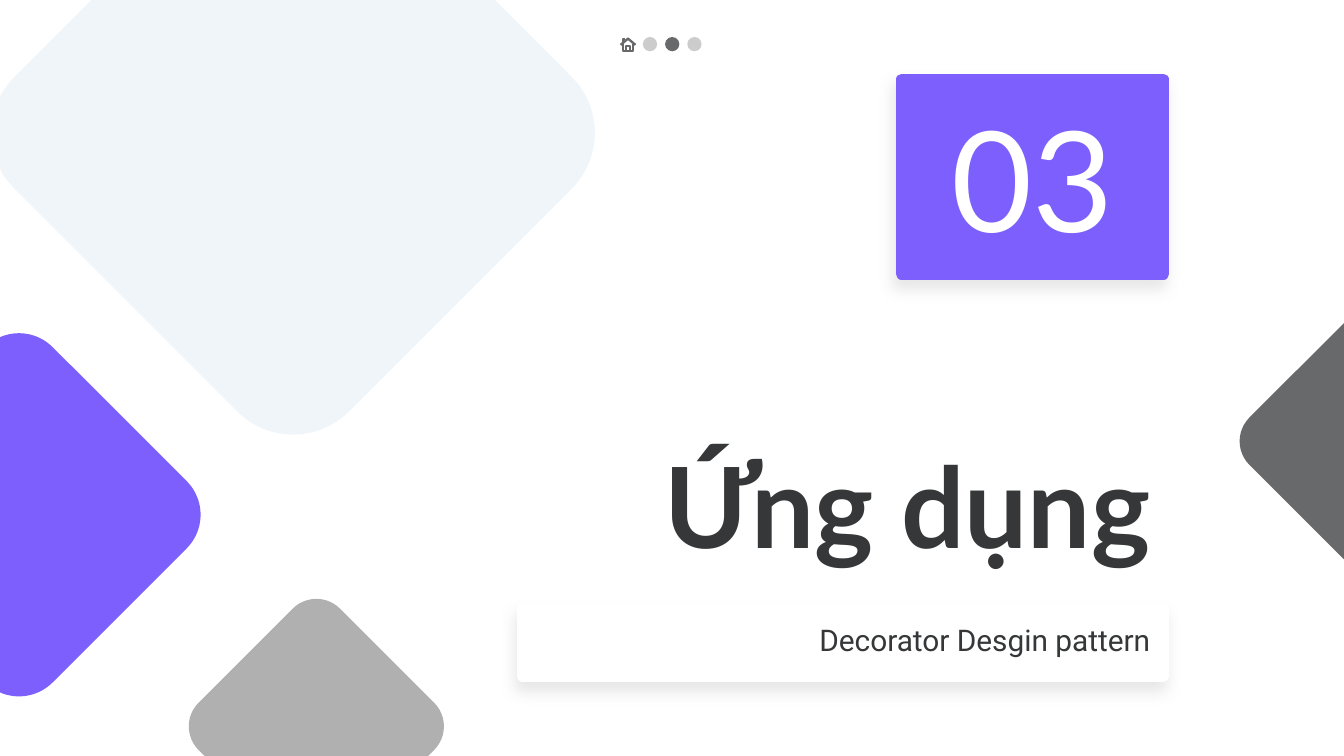
import pptx
import pptx.util
import pptx.dml.color
import pptx.enum.shapes
import pptx.enum.text
import pptx.oxml
import pptx.oxml.ns
from pptx.util import Cm, Pt

COLORS = {"purple": "7D5FFE", "grey": "B0B0B0", "dark": "67696B",
          "pale": "F0F5FA", "white": "FFFFFF", "ink": "353738"}

# Content: lengths in centimetres, boxes as left, top, width, height
NUMBER = {"text": "03", "at": (17.04, 1.5, 4.95, 3.68), "font": "Lato", "size": 75,
          "color": "white", "bold": False, "align": "CENTER", "anchor": "MIDDLE"}
TITLE = {"text": "Ứng dụng", "at": (8.66, 5.64, 13.33, 5.41), "font": "Lato", "size": 60,
         "color": "ink", "bold": True, "align": "RIGHT", "anchor": "BOTTOM"}
SUBTITLE = {"text": "Decorator Desgin pattern", "at": (9.88, 11.51, 12.11, 1.27),
            "font": "Roboto", "size": 16, "color": "ink", "bold": False,
            "align": "RIGHT", "anchor": "TOP"}

# Centre x, centre y, side, colour
DIAMONDS = [(0.36, 9.73, 5.38, "purple"), (5.98, 13.73, 3.78, "grey"),
            (25.84, 8.34, 3.78, "dark"), (5.54, 2.51, 8.94, "pale")]

# Progress dots: colour, opacity in percent
DOTS = [("grey", 64), ("dark", 100), ("grey", 64)]
DOT_LEFT, DOT_TOP, DOT_SIZE, DOT_STEP = 12.15, 0.7, 0.27, 0.42

# Strokes of the home icon, in hundredths of a centimetre
HOME_STROKES = [
    [(1173, 85), (1187, 73), (1201, 85)],
    [(1177, 84), (1177, 96), (1197, 96), (1197, 84)],
    [(1183, 96), (1183, 87), (1191, 87), (1191, 96)],
    [(1177, 80), (1177, 74), (1181, 74)],
]

SHAPES = pptx.enum.shapes.MSO_SHAPE


def color(name):
    return pptx.dml.color.RGBColor.from_string(COLORS[name])


def add_xml(parent, body):
    parent.append(pptx.oxml.parse_xml(
        body.replace(" ", f" {pptx.oxml.ns.nsdecls('a')} ", 1)))


def add_filled(slide, kind, left, top, width, height, fill):
    shape = slide.shapes.add_shape(kind, Cm(left), Cm(top), Cm(width), Cm(height))
    shape.shadow.inherit = False
    shape.fill.solid()
    shape.fill.fore_color.rgb = color(fill)
    shape.line.fill.background()
    return shape


def write_text(box, item):
    box.left, box.top, box.width, box.height = map(Cm, item["at"])
    frame = box.text_frame
    frame.text = item["text"]
    frame.word_wrap = True
    frame.auto_size = pptx.enum.text.MSO_AUTO_SIZE.NONE
    frame.vertical_anchor = getattr(pptx.enum.text.MSO_ANCHOR, item["anchor"])
    frame.margin_left = frame.margin_right = Cm(0.25)
    frame.margin_top = frame.margin_bottom = Cm(0.25)
    para = frame.paragraphs[0]
    para.alignment = getattr(pptx.enum.text.PP_ALIGN, item["align"])
    para.space_before = Pt(0)
    font = para.runs[0].font
    font.name, font.size, font.bold = item["font"], Pt(item["size"]), item["bold"]
    font.color.rgb = color(item["color"])


def make_card(box, fill):
    """Fill with a thick round-joined border and a soft shadow."""
    box.fill.solid()
    box.fill.fore_color.rgb = color(fill)
    box.line.color.rgb = color(fill)
    box.line.width = Pt(6)
    properties = box._element.spPr
    add_xml(properties.find(pptx.oxml.ns.qn("a:ln")), "<a:round />")
    box.shadow.inherit = False
    effects = properties.find(pptx.oxml.ns.qn("a:effectLst"))
    add_xml(effects, f'<a:outerShdw blurRad="{Pt(7.9)}" dist="{Pt(5.2)}" dir="6600000" '
                     f'algn="bl" rotWithShape="0"><a:srgbClr val="{COLORS["grey"]}">'
                     '<a:alpha val="30000"/></a:srgbClr></a:outerShdw>')


def main():
    deck = pptx.Presentation()
    deck.slide_width, deck.slide_height = Cm(25.4), Cm(14.29)
    slide = deck.slides.add_slide(deck.slide_layouts[0])

    # Background diamonds
    for center_x, center_y, side, fill in DIAMONDS:
        diamond = add_filled(slide, SHAPES.ROUNDED_RECTANGLE, center_x - side / 2,
                             center_y - side / 2, side, side, fill)
        diamond.adjustments[0] = 0.167
        diamond.rotation = 315

    # Section number, title and subtitle
    number = add_filled(slide, SHAPES.RECTANGLE, *NUMBER["at"], "purple")
    make_card(number, "purple")
    write_text(number, NUMBER)
    write_text(slide.shapes.title, TITLE)
    subtitle = slide.placeholders[1]
    write_text(subtitle, SUBTITLE)
    make_card(subtitle, "white")

    # Progress dots
    for index, (fill, opacity) in enumerate(DOTS):
        dot = add_filled(slide, SHAPES.OVAL, DOT_LEFT + index * DOT_STEP, DOT_TOP,
                         DOT_SIZE, DOT_SIZE, fill)
        if opacity < 100:
            rgb = dot._element.spPr.find(".//" + pptx.oxml.ns.qn("a:srgbClr"))
            add_xml(rgb, f'<a:alpha val="{opacity * 1000}"/>')

    # Home icon
    builder = slide.shapes.build_freeform(*HOME_STROKES[0][0], scale=Cm(0.01))
    for stroke in HOME_STROKES:
        builder.move_to(*stroke[0])
        builder.add_line_segments(stroke[1:], close=False)
    home = builder.convert_to_shape()
    home.shadow.inherit = False
    home.fill.background()
    home.line.color.rgb = color("dark")
    home.line.width = Pt(1.25)

    deck.save("out.pptx")


if __name__ == "__main__":
    main()
